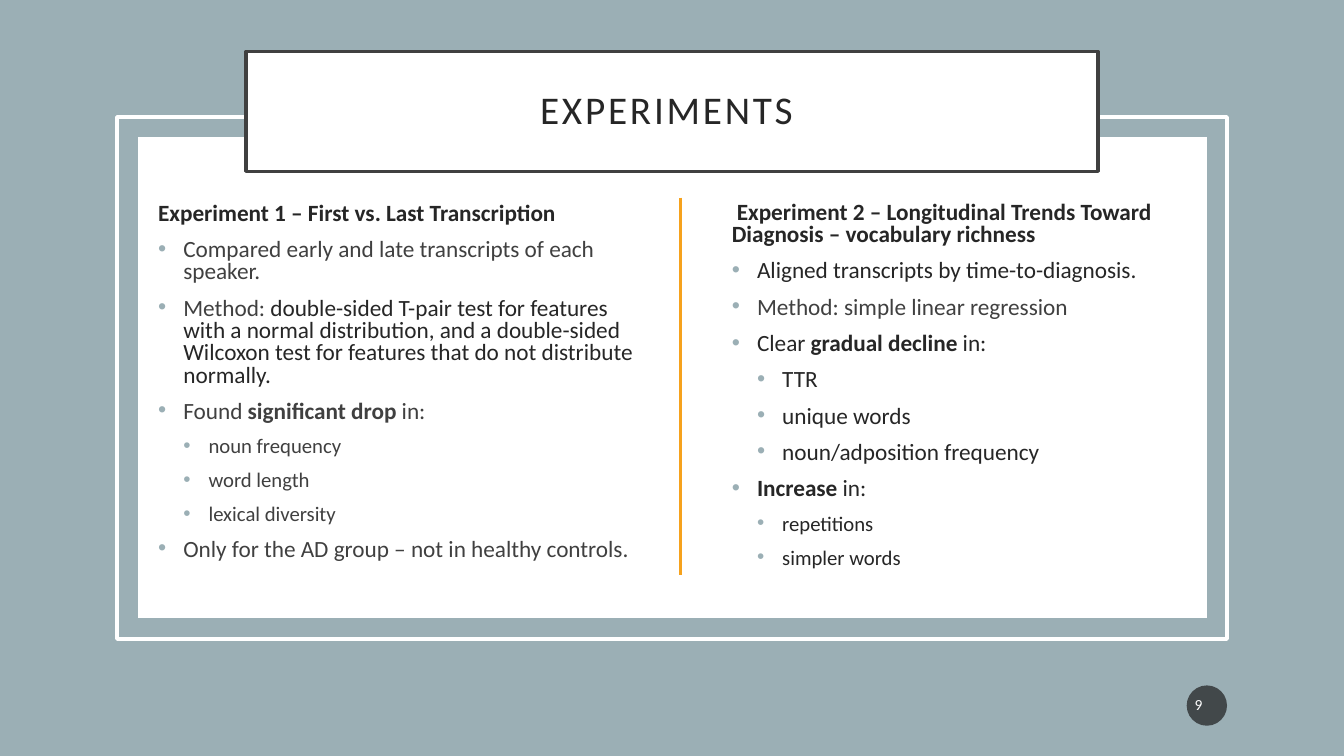
import pptx
import pptx.util
import pptx.dml.color
import pptx.enum.shapes
import pptx.enum.text
import pptx.oxml.ns
import lxml.etree

Inches = pptx.util.Inches
Pt = pptx.util.Pt
qn = pptx.oxml.ns.qn
SHAPE = pptx.enum.shapes.MSO_SHAPE
ALIGN = pptx.enum.text.PP_ALIGN
MIDDLE = pptx.enum.text.MSO_ANCHOR.MIDDLE

WHITE, SAGE, AMBER = "FFFFFF", "9BAFB5", "F6A21D"
DARK, GREY, BLACK = "262626", "404040", "1D1D1D"
LARGE, SMALL = 16.6, 14.8


def color(code):
    return pptx.dml.color.RGBColor.from_string(code)


class SlideBuilder:
    font = "Calibri"

    def __init__(self, page):
        self.page = page

    def paint(self, shape, fill=None, line=None, width=2.5):
        if fill:
            shape.fill.solid()
            shape.fill.fore_color.rgb = color(fill)
        else:
            shape.fill.background()
        if line:
            shape.line.color.rgb = color(line)
            shape.line.width = Pt(width)
        else:
            shape.line.fill.background()

    def shape(self, kind, left, top, width, height, fill=None, line=None):
        shape = self.page.shapes.add_shape(
            kind, Inches(left), Inches(top), Inches(width), Inches(height))
        shape.shadow.inherit = False
        self.paint(shape, fill, line)
        return shape

    def format(self, span, size, code, bold=False):
        span.font.name = self.font
        span.font.size = Pt(size)
        span.font.bold = bold
        span.font.color.rgb = color(code)

    def label(self, shape, text, size, code, align, insets):
        frame = shape.text_frame
        frame.word_wrap = True
        frame.auto_size = pptx.enum.text.MSO_AUTO_SIZE.NONE
        frame.vertical_anchor = MIDDLE
        (frame.margin_left, frame.margin_top,
         frame.margin_right, frame.margin_bottom) = map(Inches, insets)
        frame.text = text
        para = frame.paragraphs[0]
        para.alignment = align
        para.line_spacing = 0.9
        span = para.runs[0]
        self.format(span, size, code)
        return span

    def title(self, text, left, top, width, height):
        title = self.page.shapes.title
        title.left, title.top = Inches(left), Inches(top)
        title.width, title.height = Inches(width), Inches(height)
        self.paint(title, WHITE, GREY)
        span = self.label(title, text, 28, DARK, ALIGN.CENTER, (0.2, 0.2, 0.31, 0.2))
        span.font._element.set("spc", "200")
        # Bring the title in front of the frames
        title.element.getparent().append(title.element)

    def bullet(self, para, level):
        props = para._p.get_or_add_pPr()
        props.set("marL", str(Inches(0.25 * level)))
        props.set("indent", str(Inches(-0.25)))
        bullet_color = lxml.etree.SubElement(props, qn("a:buClr"))
        lxml.etree.SubElement(bullet_color, qn("a:srgbClr"), val=SAGE)
        lxml.etree.SubElement(props, qn("a:buFont"), typeface="Arial")
        lxml.etree.SubElement(props, qn("a:buChar"), char="•")

    def column(self, left, top, width, height, heading, items, first_indent=0):
        box = self.page.shapes.add_textbox(
            Inches(left), Inches(top), Inches(width), Inches(height))
        frame = box.text_frame
        frame.word_wrap = True
        rows = [(0, LARGE, [(heading, DARK, True)])] + items
        for index, (level, size, spans) in enumerate(rows):
            para = frame.add_paragraph() if index else frame.paragraphs[0]
            para.line_spacing = 0.8
            para.space_before = Pt(10)
            if level:
                para.level = level - 1
                self.bullet(para, level)
            elif first_indent:
                para._p.get_or_add_pPr().set("indent", str(Inches(first_indent)))
            for text, code, bold in spans:
                span = para.add_run()
                span.text = text
                self.format(span, size, code, bold)

    def divider(self, x, top, bottom):
        line = self.page.shapes.add_connector(
            pptx.enum.shapes.MSO_CONNECTOR.STRAIGHT,
            Inches(x), Inches(top), Inches(x), Inches(bottom))
        line.line.color.rgb = color(AMBER)
        line.line.width = Pt(2.25)
        lxml.etree.SubElement(line._element.spPr, qn("a:effectLst"))

    def page_number(self, text, left, top, size):
        badge = self.shape(SHAPE.OVAL, left, top, size, size, BLACK)
        fill = badge._element.spPr.find(qn("a:solidFill"))
        lxml.etree.SubElement(fill[0], qn("a:alpha"), val="70000")
        self.label(badge, text, 11, WHITE, ALIGN.LEFT, (0.02, 0.05, 0.02, 0.05))


def plain(level, text, code, size=LARGE):
    return level, size, [(text, code, False)]


FIRST_ITEMS = [
    plain(1, "Compared early and late transcripts of each speaker.", GREY),
    (1, LARGE, [
        ("Method: ", GREY, False),
        ("double-sided T-pair test for features with a normal distribution, "
         "and a double-sided Wilcoxon test for features that do not "
         "distribute normally.", DARK, False)]),
    (1, LARGE, [("Found ", GREY, False), ("significant drop", GREY, True),
                (" in:", GREY, False)]),
    *[plain(2, text, GREY, SMALL)
      for text in ("noun frequency", "word length", "lexical diversity")],
    plain(1, "Only for the AD group – not in healthy controls.", GREY),
]
SECOND_ITEMS = [
    plain(1, "Aligned transcripts by time-to-diagnosis.", DARK),
    plain(1, "Method: simple linear regression", GREY),
    (1, LARGE, [("Clear ", DARK, False), ("gradual decline", DARK, True),
                (" in:", DARK, False)]),
    *[plain(2, text, DARK)
      for text in ("TTR", "unique words", "noun/adposition frequency")],
    (1, LARGE, [("Increase ", DARK, True), ("in:", DARK, False)]),
    *[plain(2, text, DARK, SMALL) for text in ("repetitions", "simpler words")],
]


def main():
    deck = pptx.Presentation()
    deck.slide_width, deck.slide_height = Inches(13.33), Inches(7.5)
    slide = SlideBuilder(deck.slides.add_slide(deck.slide_layouts[5]))

    # Backdrop, panel and outer frame
    slide.shape(SHAPE.RECTANGLE, 0, 0, 13.33, 7.5, fill=SAGE)
    slide.shape(SHAPE.RECTANGLE, 1.37, 1.36, 10.6, 4.77, fill=WHITE)
    slide.shape(SHAPE.RECTANGLE, 1.16, 1.16, 11.01, 5.18, line=WHITE)

    # Title
    slide.title("EXPERIMENTS", 2.44, 0.51, 8.45, 1.19)

    # Two experiments with a divider
    slide.column(1.47, 1.97, 5.09, 4,
                 "Experiment 1 – First vs. Last Transcription", FIRST_ITEMS)
    slide.column(7.16, 1.96, 4.61, 4.01,
                 "Experiment 2 – Longitudinal Trends Toward Diagnosis – "
                 "vocabulary richness", SECOND_ITEMS, first_indent=0.05)
    slide.divider(6.75, 1.96, 5.7)

    # Page number
    slide.page_number("9", 11.77, 6.8, 0.4)

    deck.save("out.pptx")


if __name__ == "__main__":
    main()
